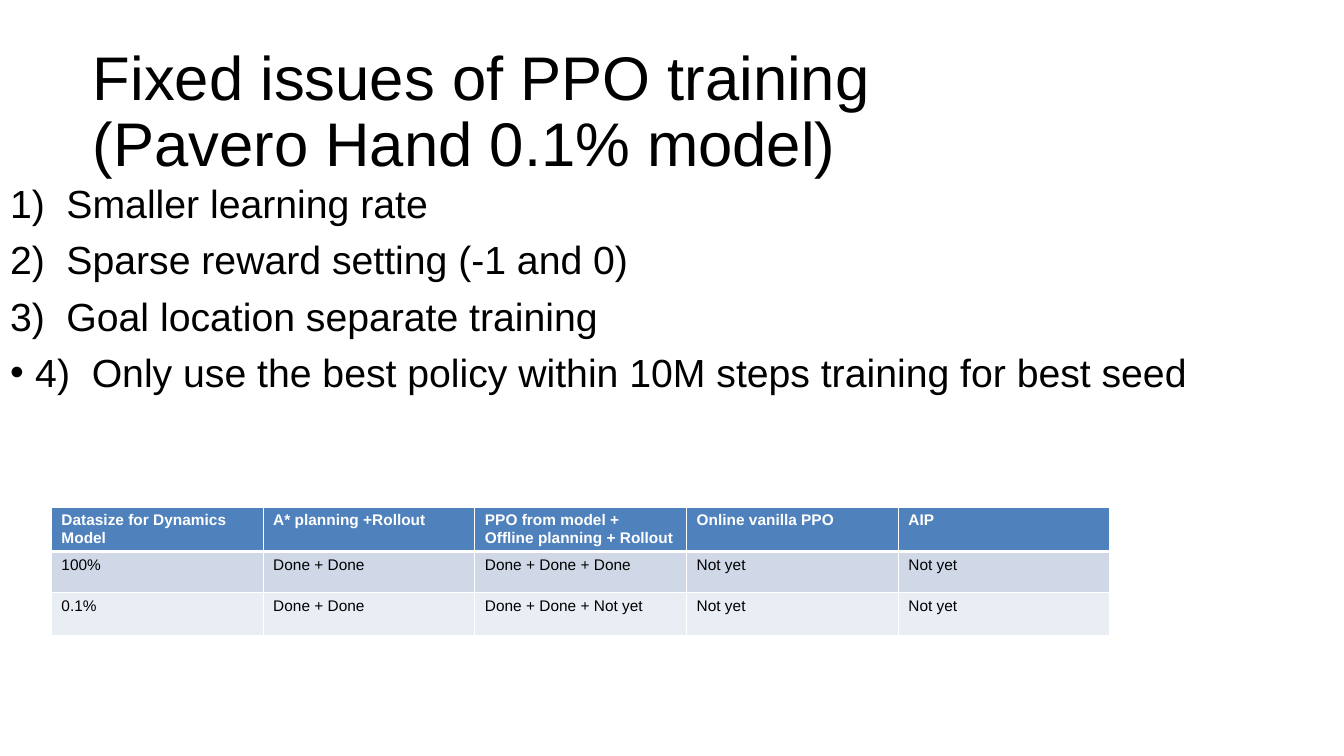
from dataclasses import dataclass

from lxml.etree import SubElement
from pptx import Presentation
from pptx.dml.color import RGBColor
from pptx.enum.text import MSO_ANCHOR, MSO_AUTO_SIZE, PP_ALIGN
from pptx.oxml.ns import qn
from pptx.util import Inches, Pt


@dataclass(frozen=True)
class Theme:
    """Colours, font and type sizes of the slide."""
    font: str = "Arial"
    text: str = "000000"
    light: str = "FFFFFF"
    header: str = "4F81BD"
    bands: tuple = ("D0D8E8", "E9EDF4")
    title_size: int = 44
    list_size: int = 28
    table_size: int = 11


THEME = Theme()
TITLE = "Fixed issues of PPO training\v(Pavero Hand 0.1% model)"
NUMBER = ("buAutoNum", {"type": "arabicParenR"}, 0.56)
BULLET = ("buChar", {"char": "•"}, 0.25)
FIXES = [
    (NUMBER, "Smaller learning rate"),
    (NUMBER, "Sparse reward setting (-1 and 0)"),
    (NUMBER, "Goal location separate training"),
    (BULLET, "4)  Only use the best policy within 10M steps training for best seed"),
]
STATUS = [
    ["Datasize for Dynamics Model", "A* planning +Rollout",
     "PPO from model +\nOffline planning + Rollout", "Online vanilla PPO", "AIP"],
    ["100%", "Done + Done", "Done + Done + Done", "Not yet", "Not yet"],
    ["0.1%", "Done + Done", "Done + Done + Not yet", "Not yet", "Not yet"],
]
ROW_HEIGHTS = (0.44, 0.41, 0.43)
COLUMN_WIDTH = 2.1


def apply(target, values):
    """Set each attribute in values on target."""
    for name, value in values.items():
        setattr(target, name, value)


def style_text(p, size, color, bold=False):
    """Format every run of a paragraph."""
    for r in p.runs:
        apply(r.font, {"name": THEME.font, "size": Pt(size), "bold": bold})
        r.font.color.rgb = RGBColor.from_string(color)


def set_frame(tf, anchor):
    """Give a text frame wrapping, no insets and a fixed size."""
    apply(tf, {"word_wrap": True, "auto_size": MSO_AUTO_SIZE.NONE,
               "vertical_anchor": anchor, "margin_left": 0, "margin_right": 0,
               "margin_top": 0, "margin_bottom": 0})


def add_title(s, text):
    """Place and format the title placeholder."""
    sp = s.shapes.title
    apply(sp, {"left": Inches(0.92), "top": Inches(0.4),
               "width": Inches(11.5), "height": Inches(1.45)})
    set_frame(sp.text_frame, MSO_ANCHOR.MIDDLE)
    sp.text_frame.text = text
    p = sp.text_frame.paragraphs[0]
    apply(p, {"alignment": PP_ALIGN.LEFT, "line_spacing": 0.9})
    style_text(p, THEME.title_size, THEME.text)


def add_list(s, items):
    """Add the list, each item with its own marker and hanging indent."""
    sp = s.shapes.add_textbox(Inches(0.1), Inches(1.83), Inches(13.2), Inches(2.2))
    tf = sp.text_frame
    set_frame(tf, MSO_ANCHOR.TOP)
    for i, ((marker, values, indent), text) in enumerate(items):
        p = tf.add_paragraph() if i else tf.paragraphs[0]
        p.text = text
        apply(p, {"line_spacing": 0.9, "space_before": Pt(10 if i else 0)})
        style_text(p, THEME.list_size, THEME.text)
        pPr = p._p.get_or_add_pPr()
        pPr.set("marL", str(Inches(indent)))
        pPr.set("indent", str(-Inches(indent)))
        SubElement(pPr, qn("a:buFont"), typeface=THEME.font)
        SubElement(pPr, qn(f"a:{marker}"), **values)


def set_borders(cell, widths):
    """Draw light cell borders; widths maps a side to points."""
    tcPr = cell._tc.get_or_add_tcPr()
    for side, width in widths.items():
        ln = SubElement(tcPr, qn(f"a:ln{side}"), w=str(Pt(width)))
        SubElement(SubElement(ln, qn("a:solidFill")), qn("a:srgbClr"), val=THEME.light)


def add_status_table(s, rows):
    """Add the status table with a header row and banded body rows."""
    table = s.shapes.add_table(
        len(rows), len(rows[0]), Inches(0.51), Inches(5.03),
        Inches(COLUMN_WIDTH * len(rows[0])), Inches(sum(ROW_HEIGHTS))).table
    for column in table.columns:
        column.width = Inches(COLUMN_WIDTH)
    fills = (THEME.header, *THEME.bands)
    for i, (values, height, fill) in enumerate(zip(rows, ROW_HEIGHTS, fills)):
        table.rows[i].height = Inches(height)
        is_header = i == 0
        for cell, text in zip(table.rows[i].cells, values):
            cell.text = text
            for p in cell.text_frame.paragraphs:
                style_text(p, THEME.table_size,
                           THEME.light if is_header else THEME.text, is_header)
            set_borders(cell, {"L": 1, "R": 1, "T": 3 if i == 1 else 1,
                               "B": 3 if is_header else 1})
            cell.fill.solid()
            cell.fill.fore_color.rgb = RGBColor.from_string(fill)


def main():
    """Build the slide and save it."""
    prs = Presentation()
    apply(prs, {"slide_width": Inches(13.33), "slide_height": Inches(7.5)})
    s = prs.slides.add_slide(prs.slide_layouts[5])
    add_title(s, TITLE)
    add_list(s, FIXES)
    add_status_table(s, STATUS)
    prs.save("out.pptx")


main()
